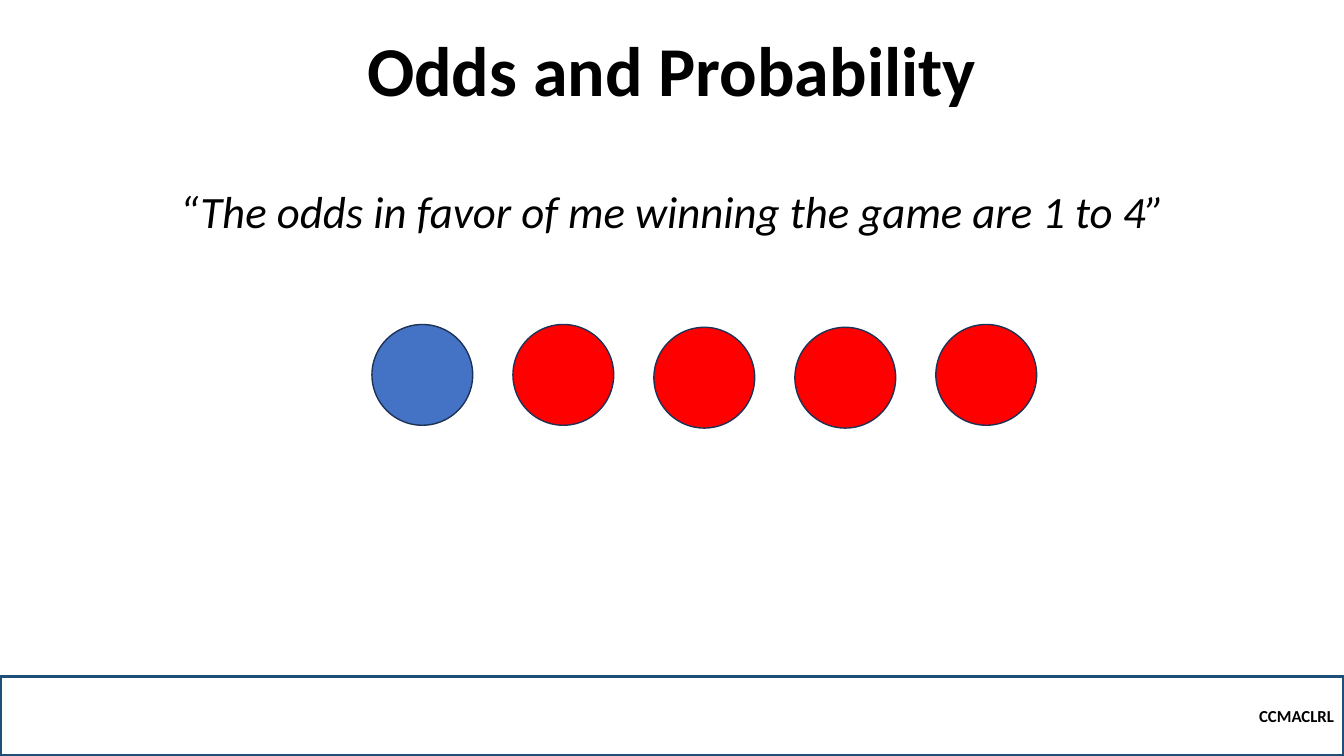
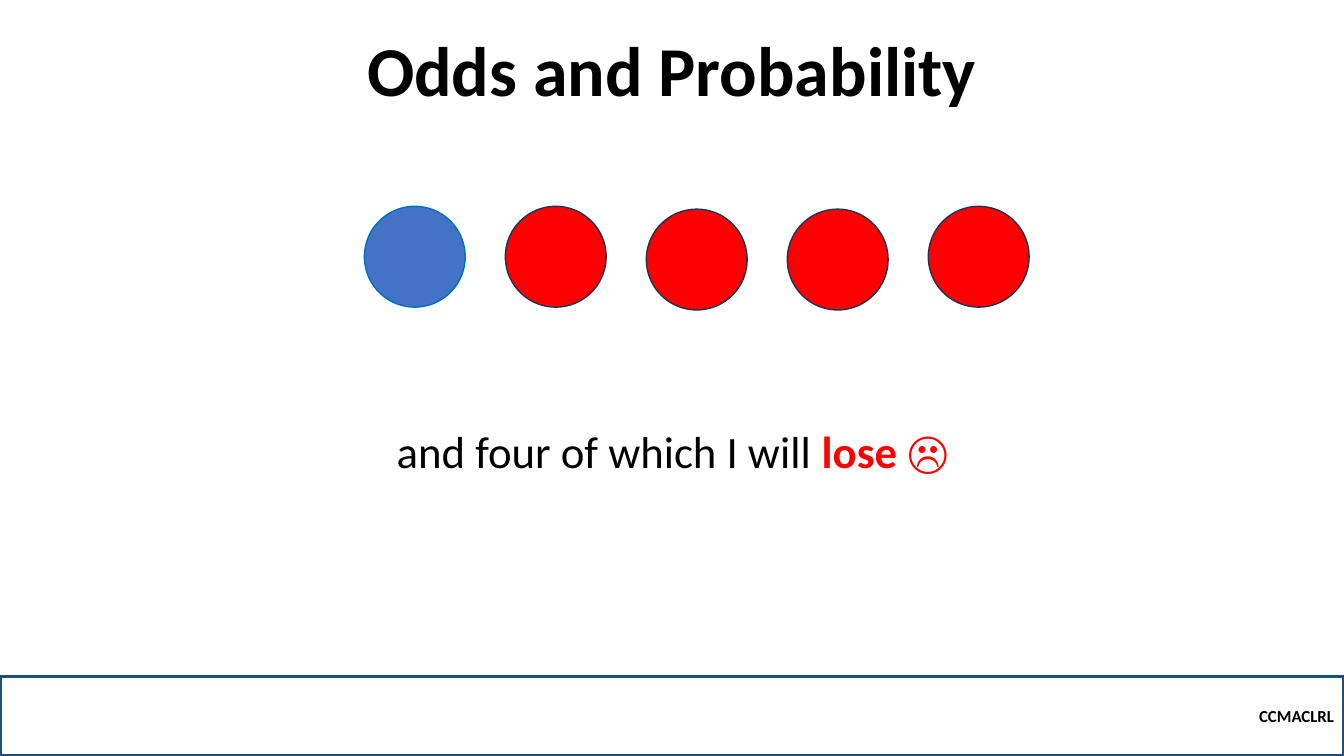
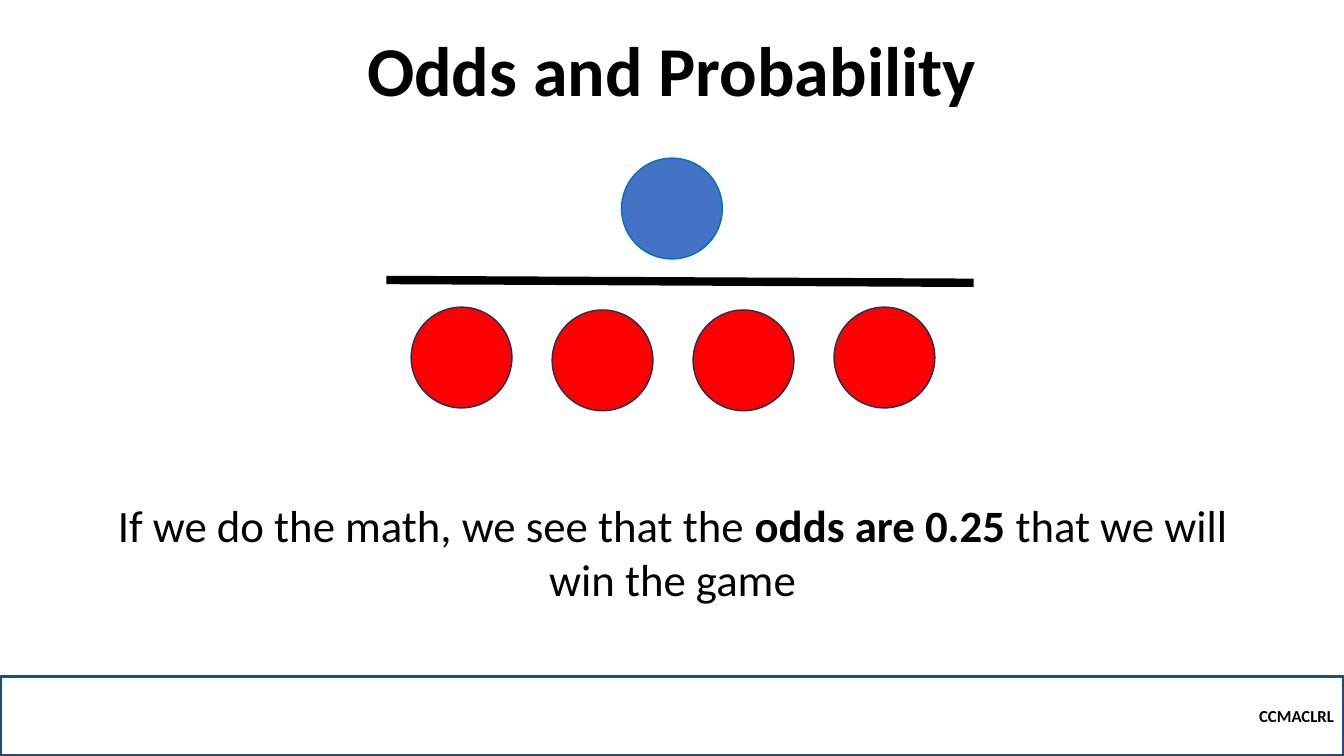
import pptx
import pptx.util
import pptx.dml.color
import pptx.enum.shapes
import pptx.enum.text
import pptx.oxml.ns
import lxml.etree

Pt = pptx.util.Pt
Shape = pptx.enum.shapes.MSO_SHAPE
Align = pptx.enum.text.PP_ALIGN
Anchor = pptx.enum.text.MSO_ANCHOR
Fit = pptx.enum.text.MSO_AUTO_SIZE


class Theme:
    font = "Calibri"
    black, blue, red = "000000", "4472C4", "FF0000"
    navy, sky, band = "1E3256", "0070C0", "1F4E79"
    title, body, foot = 50, 32, 12


def color(code):
    return pptx.dml.color.RGBColor.from_string(code)


class Deck:
    wide, high = 960, 540
    size, step, dip = 72, 100.7, 2

    def __init__(self, theme):
        self.theme = theme
        self.show = pptx.Presentation()
        self.show.slide_width = Pt(self.wide)
        self.show.slide_height = Pt(self.high)
        self.slide = None

    # Shared frame: footer band and title
    def page(self, title):
        look = self.theme
        self.slide = self.show.slides.add_slide(self.show.slide_layouts[6])
        band = self.shape(Shape.RECTANGLE, 0, 483, self.wide, 57, None, look.band, 2.25)
        band.text_frame.vertical_anchor = Anchor.MIDDLE
        self.label(band, [("CCMACLRL", {"bold": True})], look.foot, Align.RIGHT)
        head = self.box(36, 26, 888, 57)
        head.text_frame.vertical_anchor = Anchor.BOTTOM
        self.label(head, [(title, {"bold": True})], look.title).line_spacing = 0.9

    def shape(self, kind, x, y, w, h, fill, edge, width=1):
        item = self.slide.shapes.add_shape(kind, Pt(x), Pt(y), Pt(w), Pt(h))
        item.shadow.inherit = False
        if fill:
            item.fill.solid()
            item.fill.fore_color.rgb = color(fill)
        else:
            item.fill.background()
        item.line.color.rgb = color(edge)
        item.line.width = Pt(width)
        return item

    def box(self, x, y, w, h):
        item = self.slide.shapes.add_textbox(Pt(x), Pt(y), Pt(w), Pt(h))
        item.text_frame.word_wrap = True
        return item

    # Each run is its text and a style: bold, italic, color
    def label(self, item, runs, size, align=Align.CENTER):
        para = item.text_frame.paragraphs[0]
        para.alignment = align
        for text, style in runs:
            run = para.add_run()
            run.text = text
            font = run.font
            font.name, font.size = self.theme.font, Pt(size)
            font.bold = style.get("bold", False)
            font.italic = style.get("italic", False)
            font.color.rgb = color(style.get("color", self.theme.black))
        return para

    def body(self, y, h, *runs):
        item = self.box(57, y, 847, h)
        item.text_frame.auto_size = Fit.SHAPE_TO_FIT_TEXT
        self.label(item, runs, self.theme.body)

    def ball(self, x, y, fill, edge):
        self.shape(Shape.OVAL, x, y, self.size, self.size, fill, edge)

    # Four losing balls, the inner two slightly lower
    def losses(self, x, y):
        for i in range(4):
            drop = self.dip if i in (1, 2) else 0
            self.ball(x + i * self.step, y + drop, self.theme.red, self.theme.navy)

    # One winning ball followed by the losing ones
    def row(self, x, y, edge):
        self.ball(x, y, self.theme.blue, edge)
        self.losses(x + self.step, y)

    def line(self, x1, y1, x2, y2, width):
        item = self.slide.shapes.add_connector(
            pptx.enum.shapes.MSO_CONNECTOR.STRAIGHT, Pt(x1), Pt(y1), Pt(x2), Pt(y2))
        item.line.color.rgb = color(self.theme.black)
        item.line.width = Pt(width)
        props = item.element.find(pptx.oxml.ns.qn("p:spPr"))
        lxml.etree.SubElement(props, pptx.oxml.ns.qn("a:effectLst"))


def main():
    look = Theme()
    deck = Deck(look)
    title = "Odds and Probability"

    # The claim
    deck.page(title)
    deck.body(128, 46, ("“The odds in favor of me winning the game are 1 to 4”",
                        {"italic": True}))
    deck.row(265.7, 231.8, look.navy)

    # The losing games
    deck.page(title)
    deck.row(260.3, 147.4, look.sky)
    deck.body(299, 46, ("and four of which I will ", {}),
              ("lose ☹", {"bold": True, "color": look.red}))

    # The odds as a fraction
    deck.page(title)
    deck.ball(444, 113, look.blue, look.sky)
    deck.losses(293.7, 219.4)
    deck.body(352, 85, ("If we do the math, we see that the ", {}),
              ("odds are 0.25 ", {"bold": True}),
              ("that we will win the game", {}))
    deck.line(276, 200, 695.5, 202, 6)

    deck.show.save("out.pptx")


if __name__ == "__main__":
    main()
